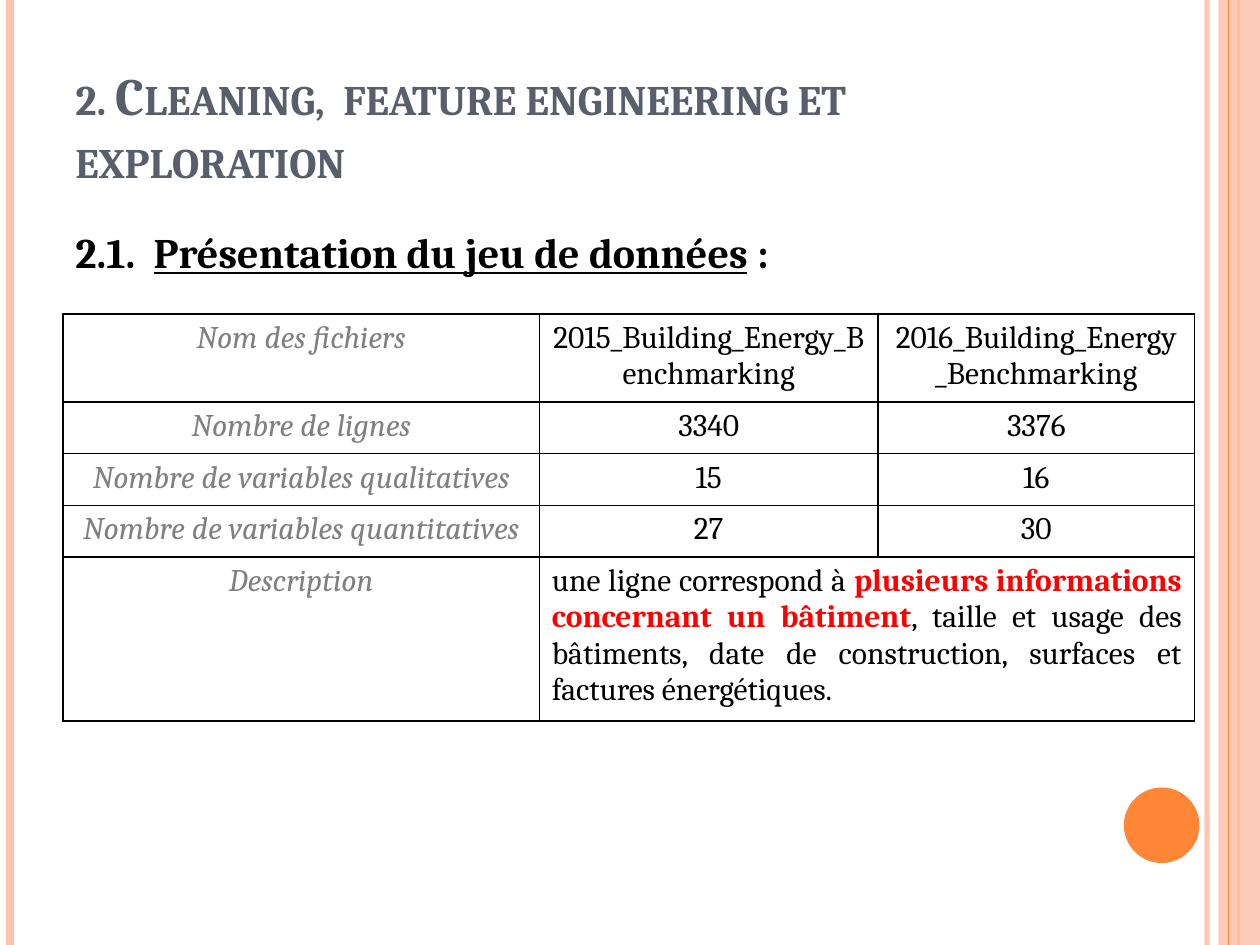
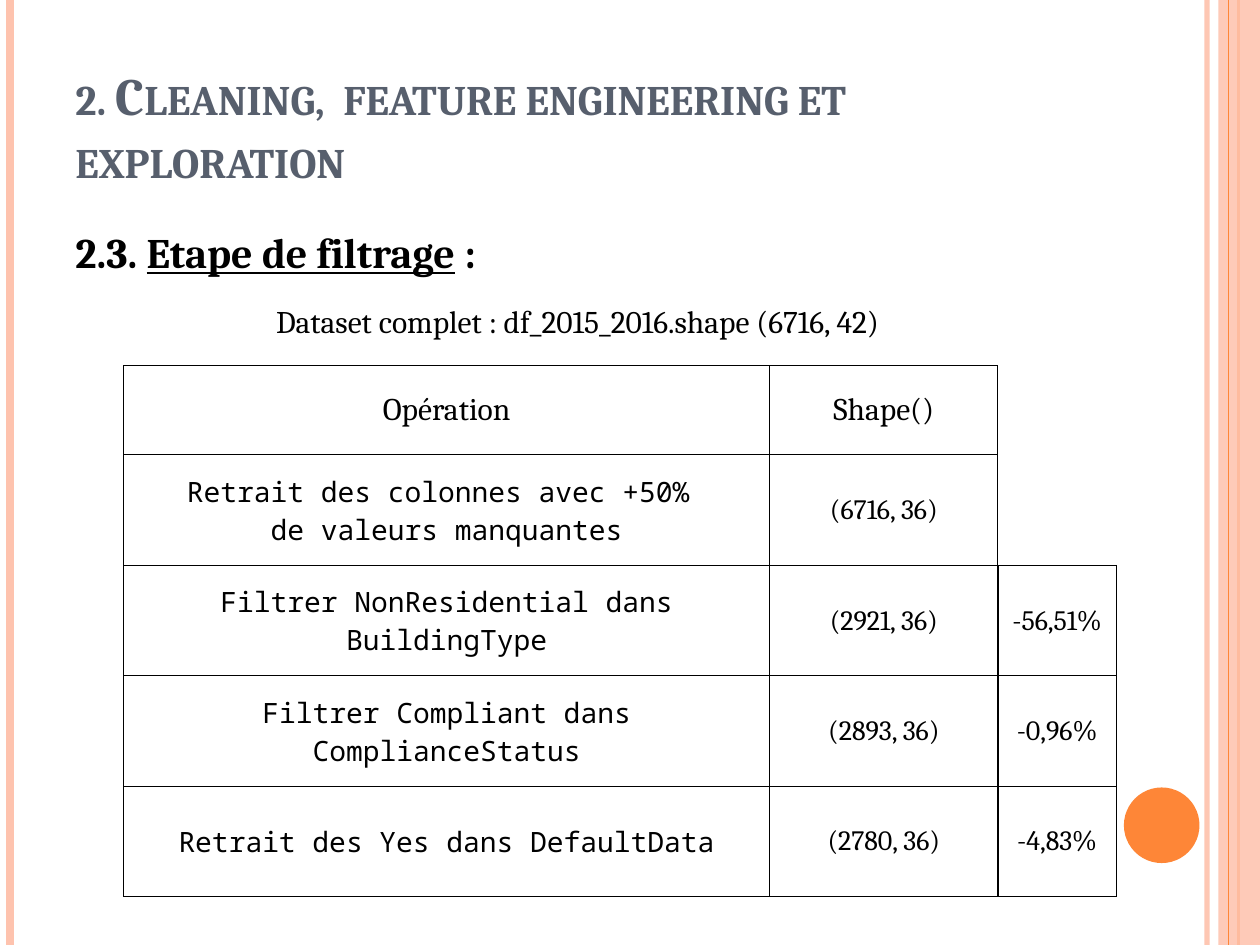
import pptx
import pptx.dml.color
import pptx.enum.shapes
import pptx.enum.text
import pptx.oxml
import pptx.oxml.ns
import pptx.util

ALIGN = pptx.enum.text.PP_ALIGN
ANCHOR = pptx.enum.text.MSO_ANCHOR
SHAPE = pptx.enum.shapes.MSO_SHAPE

# The slide is a grid of 100 columns by 75 rows; a box is (left, top, width, height)
COLUMNS, ROWS = 100, 75
WIDTH, HEIGHT = pptx.util.Inches(10), pptx.util.Inches(7.5)
TITLE_BOX = (5, 3, 81.7, 12.5)
BODY_BOX = (5, 17.5, 81.7, 53.3)

PEACH, ORANGE, SLATE = "FEC3AE", "FE8637", "575F6D"
BLACK, GREY, RED = "000000", "808080", "FF0000"
SERIF, MONO = "Cambria", "Noto Sans Mono"

TITLE = {"size": 30, "bold": True, "color": SLATE, "cap": "small"}
HEADING = {"size": 24, "bold": True}
PLAIN = {"size": 18}
LABEL = {"size": 18, "italic": True, "color": GREY}
STRESS = {"size": 18, "bold": True, "color": RED}
VALUE = {"size": 16}
CODE = {"size": 16, "name": MONO}


def across(columns):
    return round(WIDTH * columns / COLUMNS)


def down(rows):
    return round(HEIGHT * rows / ROWS)


def place(box):
    left, top, width, height = box
    return across(left), down(top), across(width), down(height)


def rgb(color):
    return pptx.dml.color.RGBColor.from_string(color)


def set_opacity(part, percent):
    """Make the solid colour inside a fill or line translucent."""
    color = part._element.spPr.find(".//" + pptx.oxml.ns.qn("a:srgbClr"))
    alpha = pptx.oxml.parse_xml(f"<a:alpha {pptx.oxml.ns.nsdecls('a')} val='{percent * 1000}'/>")
    color.append(alpha)


# Text
def add_span(para, text, style):
    span = para.add_run()
    span.text = text
    values = {"name": SERIF, "color": BLACK, **style}
    span.font.color.rgb = rgb(values.pop("color"))
    if "cap" in values:
        span._r.get_or_add_rPr().set("cap", values.pop("cap"))
    values["size"] = pptx.util.Pt(values["size"])
    for key, value in values.items():
        setattr(span.font, key, value)


def write(frame, paragraphs, gap=0):
    """Fill a frame; each paragraph is (alignment, [(text, style), ...])."""
    for index, (alignment, spans) in enumerate(paragraphs):
        para = frame.add_paragraph() if index else frame.paragraphs[0]
        para.alignment = alignment
        if index:
            para.space_before = pptx.util.Pt(gap)
        for text, style in spans:
            add_span(para, text, style)


def add_text(page, box, paragraphs, anchor=ANCHOR.TOP, gap=0):
    frame = page.shapes.add_textbox(*place(box)).text_frame
    frame.word_wrap = True
    frame.vertical_anchor = anchor
    write(frame, paragraphs, gap)


def centred(style, *lines):
    return [(ALIGN.CENTER, [(line, style)]) for line in lines]


# Frame shared by the slides
def add_rule(page, column, color, weight, opacity=100):
    x = across(column)
    rule = page.shapes.add_connector(pptx.enum.shapes.MSO_CONNECTOR.STRAIGHT, x, 0, x, HEIGHT)
    rule.line.color.rgb = rgb(color)
    rule.line.width = pptx.util.Pt(weight)
    if opacity < 100:
        set_opacity(rule, opacity)
    rule._element.spPr.append(
        pptx.oxml.parse_xml(f"<a:effectLst {pptx.oxml.ns.nsdecls('a')}/>"))


def add_solid(page, kind, box, color):
    solid = page.shapes.add_shape(kind, *place(box))
    solid.shadow.inherit = False
    solid.fill.solid()
    solid.fill.fore_color.rgb = rgb(color)
    solid.line.fill.background()
    return solid


def add_frame(page):
    add_rule(page, 95.8, PEACH, 3, 93)
    add_rule(page, 0.8, PEACH, 4.5)
    add_rule(page, 98.3, ORANGE, 1.5)
    band = add_solid(page, SHAPE.RECTANGLE, (96.7, 0, 3.3, ROWS), PEACH)
    set_opacity(band, 87)
    add_rule(page, 97.5, ORANGE, 0.75)
    add_solid(page, SHAPE.OVAL, (89.2, 62.5, 6, 6), ORANGE)


def add_page(deck, number, heading, body=()):
    """Start a slide with its frame, title, numbered heading and body lines."""
    page = deck.slides.add_slide(deck.slide_layouts[6])
    add_frame(page)
    title = "2. Cleaning,  feature engineering et exploration"
    add_text(page, TITLE_BOX, [(ALIGN.LEFT, [(title, TITLE)])], ANCHOR.BOTTOM)
    spans = [(number, HEADING), (heading, {**HEADING, "underline": True}), (" :", HEADING)]
    add_text(page, BODY_BOX, [(ALIGN.LEFT, spans), *body], gap=14.5)
    return page


# Tables
def format_cell(cell, weight, margins, anchor):
    properties = cell._tc.get_or_add_tcPr()
    for side in "LRTB":
        properties.append(pptx.oxml.parse_xml(
            f"<a:ln{side} {pptx.oxml.ns.nsdecls('a')} w='{pptx.util.Pt(weight)}'>"
            f"<a:solidFill><a:srgbClr val='{BLACK}'/></a:solidFill></a:ln{side}>"))
    cell.fill.background()
    cell.vertical_anchor = anchor
    for side, margin in zip(("left", "right", "top", "bottom"), margins):
        setattr(cell, f"margin_{side}", pptx.util.Inches(margin))


def add_grid(page, corner, widths, heights, cells, weight=0.5,
             margins=(0.01, 0.01, 0.01, 0), anchor=ANCHOR.MIDDLE):
    """Draw a ruled table; a None cell joins the cell on its left."""
    box = (*corner, sum(widths), sum(heights))
    table = page.shapes.add_table(len(heights), len(widths), *place(box)).table
    table.first_row = table.horz_banding = False
    for column, width in zip(table.columns, widths):
        column.width = across(width)
    for row, height in zip(table.rows, heights):
        row.height = down(height)
    for y, line in enumerate(cells):
        for x, paragraphs in enumerate(line):
            cell = table.cell(y, x)
            format_cell(cell, weight, margins, anchor)
            if paragraphs is None:
                table.cell(y, x - 1).merge(cell)
            else:
                write(cell.text_frame, paragraphs)


# Slides
def add_dataset_page(deck):
    page = add_page(deck, "2.1.  ", "Présentation du jeu de données")
    facts = [
        ("Nom des fichiers", "2015_Building_Energy_Benchmarking",
         "2016_Building_Energy_Benchmarking"),
        ("Nombre de lignes", "3340", "3376"),
        ("Nombre de variables qualitatives", "15", "16"),
        ("Nombre de variables quantitatives", "27", "30"),
    ]
    description = [(ALIGN.JUSTIFY, [
        ("une ligne correspond à ", PLAIN),
        ("plusieurs informations concernant un bâtiment", STRESS),
        (", taille et usage des bâtiments, date de construction, "
         "surfaces et factures énergétiques.", PLAIN),
    ])]
    cells = [[centred(LABEL, label), *(centred(PLAIN, value) for value in values)]
             for label, *values in facts]
    cells.append([centred(LABEL, "Description"), description, None])
    add_grid(page, (5, 24.9), (37.8, 26.9, 25.1), (6.7, 4.1, 4.1, 4.1, 12.5), cells,
             weight=1, margins=(0.1, 0.1, 0.05, 0.05), anchor=ANCHOR.TOP)


def add_filter_page(deck):
    caption = centred(PLAIN, "Dataset complet : df_2015_2016.shape (6716, 42)")
    page = add_page(deck, "2.3. ", "Etape de filtrage", caption)
    steps = [
        (("Retrait des colonnes avec +50% ", "de valeurs manquantes"), "(6716, 36)"),
        (("Filtrer NonResidential dans BuildingType",), "(2921, 36)"),
        (("Filtrer Compliant dans ComplianceStatus",), "(2893, 36)"),
        (("Retrait des Yes dans DefaultData",), "(2780, 36)"),
    ]
    losses = ["-56,51%", "-0,96%", "-4,83%"]
    left, top, widths = 9.8, 29, (51.3, 18.1)
    header, step = 7.1, 8.76

    # Operations with the resulting shape
    cells = [[centred(PLAIN, "Opération"), centred(PLAIN, "Shape()")]]
    cells += [[centred(CODE, *lines), centred(VALUE, shape)] for lines, shape in steps]
    add_grid(page, (left, top), widths, [header] + [step] * len(steps), cells)

    # Share of rows lost, beside the last steps
    skipped = len(steps) - len(losses)
    corner = (left + sum(widths), top + header + skipped * step)
    add_grid(page, corner, [9.4], [step] * len(losses),
             [[centred(VALUE, loss)] for loss in losses])


def main():
    deck = pptx.Presentation()
    deck.slide_width, deck.slide_height = WIDTH, HEIGHT
    add_dataset_page(deck)
    add_filter_page(deck)
    deck.save("out.pptx")


if __name__ == "__main__":
    main()
